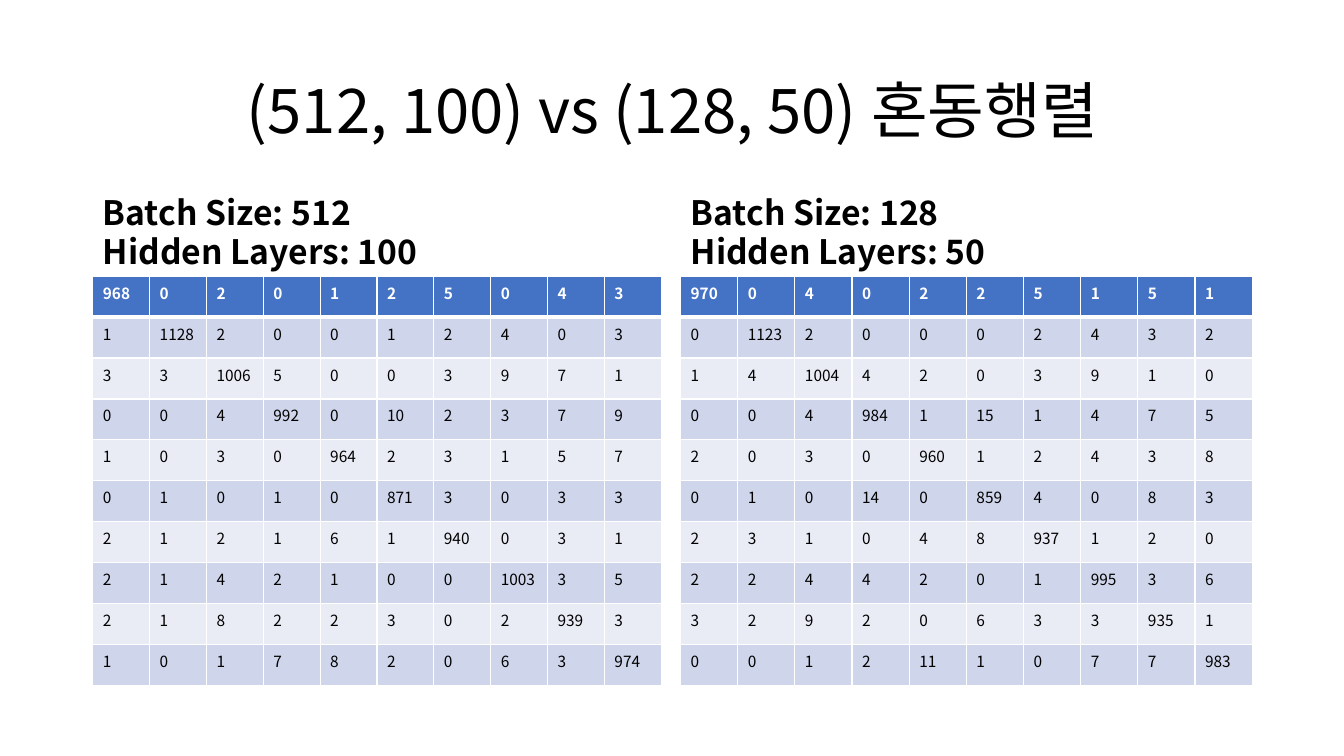
from lxml import etree
from pptx import Presentation
from pptx.dml.color import RGBColor
from pptx.enum import text
from pptx.oxml import ns
from pptx.util import Inches, Pt

COLORS = {"ink": "000000", "paper": "FFFFFF", "header": "4472C4",
          "odd": "CFD5EA", "even": "E9EBF5"}
FONT = "Noto Sans CJK KR"

LARGE_BATCH = """
968 0 2 0 1 2 5 0 4 3
1 1128 2 0 0 1 2 4 0 3
3 3 1006 5 0 0 3 9 7 1
0 0 4 992 0 10 2 3 7 9
1 0 3 0 964 2 3 1 5 7
0 1 0 1 0 871 3 0 3 3
2 1 2 1 6 1 940 0 3 1
2 1 4 2 1 0 0 1003 3 5
2 1 8 2 2 3 0 2 939 3
1 0 1 7 8 2 0 6 3 974
"""
SMALL_BATCH = """
970 0 4 0 2 2 5 1 5 1
0 1123 2 0 0 0 2 4 3 2
1 4 1004 4 2 0 3 9 1 0
0 0 4 984 1 15 1 4 7 5
2 0 3 0 960 1 2 4 3 8
0 1 0 14 0 859 4 0 8 3
2 3 1 0 4 8 937 1 2 0
2 2 4 4 2 0 1 995 3 6
3 2 9 2 0 6 3 3 935 1
0 0 1 2 11 1 0 7 7 983
"""


class MatrixSlide:
    def __init__(self, deck):
        self.page = deck.slides.add_slide(deck.slide_layouts[4])
        self.holders = {holder.placeholder_format.idx: holder
                        for holder in self.page.placeholders}

    def style(self, para, size, color="ink", bold=False):
        para.font.name = FONT
        para.font.size = Pt(size)
        para.font.bold = bold
        para.font.color.rgb = RGBColor.from_string(COLORS[color])
        defaults = para._p.get_or_add_pPr().find(ns.qn("a:defRPr"))
        etree.SubElement(defaults, ns.qn("a:ea"), typeface=FONT)

    def fill_holder(self, index, lines, area, size, anchor, align, spacing, before=0, bold=False):
        holder = self.holders[index]
        holder.left, holder.top, holder.width, holder.height = map(Inches, area)
        frame = holder.text_frame
        frame.text = "\n".join(lines)
        frame.word_wrap = True
        frame.auto_size = text.MSO_AUTO_SIZE.NONE
        frame.vertical_anchor = anchor
        for para in frame.paragraphs:
            para.alignment = align
            para.line_spacing = spacing
            para.space_before = Pt(before)
            self.style(para, size, bold=bold)

    def title(self, wording):
        self.fill_holder(0, [wording], (0.92, 0.4, 11.5, 1.45), 44,
                         text.MSO_ANCHOR.MIDDLE, text.PP_ALIGN.CENTER, 0.9)

    def heading(self, index, lines, left, width):
        self.fill_holder(index, lines, (left, 1.84, width, 0.9), 24,
                         text.MSO_ANCHOR.BOTTOM, text.PP_ALIGN.LEFT, 0.8, before=5, bold=True)

    def border(self, cell, **widths):
        """Draw white borders; widths are points keyed by L, R, T and B, in that order."""
        props = cell._tc.get_or_add_tcPr()
        for side, width in widths.items():
            line = etree.SubElement(props, ns.qn(f"a:ln{side}"), w=str(Pt(width)))
            fill = etree.SubElement(line, ns.qn("a:solidFill"))
            etree.SubElement(fill, ns.qn("a:srgbClr"), val=COLORS["paper"])

    def matrix(self, counts, left, width):
        rows = [line.split() for line in counts.strip().splitlines()]
        table = self.page.shapes.add_table(
            len(rows), len(rows[0]), Inches(left), Inches(2.74),
            Inches(width), Inches(4.06)).table
        for r, row in enumerate(rows):
            band = "header" if r == 0 else "odd" if r % 2 else "even"
            for c, count in enumerate(row):
                cell = table.cell(r, c)
                cell.text = count
                self.style(cell.text_frame.paragraphs[0], 11,
                           "paper" if r == 0 else "ink", bold=r == 0)
                self.border(cell, L=1, R=1, T=3 if r == 1 else 1, B=3 if r == 0 else 1)
                cell.fill.solid()
                cell.fill.fore_color.rgb = RGBColor.from_string(COLORS[band])

    def remove_empty_holders(self):
        for holder in self.holders.values():
            if not holder.text_frame.text:
                holder._element.getparent().remove(holder._element)


def main():
    deck = Presentation()
    deck.slide_width, deck.slide_height = Inches(13.33), Inches(7.5)
    slide = MatrixSlide(deck)
    slide.title("(512, 100) vs (128, 50) 혼동행렬")
    for index, batch, layers, counts, left, width in (
            (1, 512, 100, LARGE_BATCH, 0.92, 5.64),
            (3, 128, 50, SMALL_BATCH, 6.75, 5.67)):
        slide.heading(index, [f"Batch Size: {batch}", f"Hidden Layers: {layers}"], left, width)
        slide.matrix(counts, left, width)
    slide.remove_empty_holders()
    deck.save("out.pptx")


if __name__ == "__main__":
    main()
